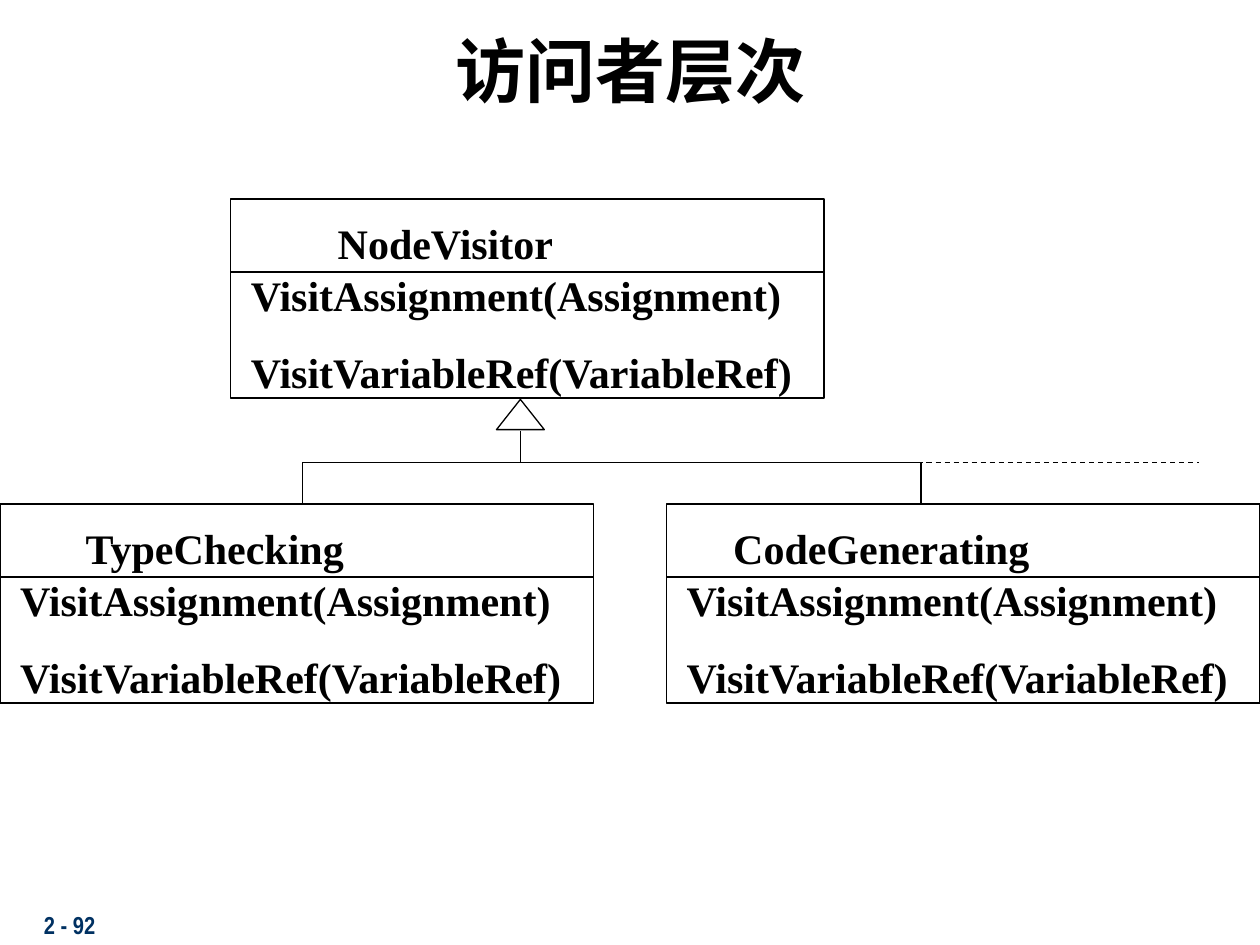
import pptx
import pptx.util
import pptx.dml.color
import pptx.enum.dml
import pptx.enum.shapes
import pptx.enum.text
import pptx.oxml.ns
import lxml.etree

Inches, Pt = pptx.util.Inches, pptx.util.Pt
RGB = pptx.dml.color.RGBColor.from_string
SHAPE = pptx.enum.shapes.MSO_SHAPE
ALIGN = pptx.enum.text.PP_ALIGN
ANCHOR = pptx.enum.text.MSO_ANCHOR
qn = pptx.oxml.ns.qn

COLORS = {"ink": "000000", "paper": "FFFFFF", "page": "003162"}
BOX_WIDTH, BOX_HEIGHT, NAME_HEIGHT = 4.71, 1.58, 0.58
BRANCH_Y, CHILD_Y = 3.67, 4

deck = pptx.Presentation()
deck.slide_width, deck.slide_height = Inches(10), Inches(7.5)
slide = deck.slides.add_slide(deck.slide_layouts[6])


def add_text(lines, left, top, width, height, size, font="Times New Roman",
             color="ink", align=ALIGN.LEFT, anchor=ANCHOR.MIDDLE, inset=(0.1, 0.05)):
    """Add a bold text box, one paragraph per line; inset is (sides, top and bottom)."""
    frame = slide.shapes.add_textbox(
        Inches(left), Inches(top), Inches(width), Inches(height)).text_frame
    frame.word_wrap = True
    frame.vertical_anchor = anchor
    frame.margin_left = frame.margin_right = Inches(inset[0])
    frame.margin_top = frame.margin_bottom = Inches(inset[1])
    frame.text = "\n".join(lines)
    for index, paragraph in enumerate(frame.paragraphs):
        paragraph.alignment = align
        if index:
            paragraph.space_before = Pt(15)
        paragraph.font.size = Pt(size)
        paragraph.font.bold = True
        paragraph.font.color.rgb = RGB(COLORS[color])
        paragraph.font.name = font
        east_asian = lxml.etree.SubElement(paragraph.font._rPr, qn("a:ea"))
        east_asian.set("typeface", font)


def add_line(x1, y1, x2, y2):
    line = slide.shapes.add_connector(
        pptx.enum.shapes.MSO_CONNECTOR.STRAIGHT,
        Inches(x1), Inches(y1), Inches(x2), Inches(y2))
    line.line.color.rgb = RGB(COLORS["ink"])
    line.line.width = Pt(0.75)
    lxml.etree.SubElement(line._element.spPr, qn("a:effectLst"))
    return line


add_text(["2 - 92"], 0.25, 7.17, 2.08, 0.33, 14, "Arial Narrow", "page",
         anchor=ANCHOR.TOP)
add_text(["访问者层次"], 0.17, 0.17, 9.67, 0.75, 40, "Noto Sans CJK SC",
         align=ALIGN.CENTER, anchor=ANCHOR.TOP)

# Inheritance tree
for branch in [(2.4, BRANCH_Y, 7.31, BRANCH_Y), (2.4, BRANCH_Y, 2.4, CHILD_Y),
               (7.31, BRANCH_Y, 7.31, CHILD_Y), (4.13, 3.42, 4.13, BRANCH_Y)]:
    add_line(*branch)
more_visitors = add_line(7.21, BRANCH_Y, 9.52, BRANCH_Y)
more_visitors.line.dash_style = pptx.enum.dml.MSO_LINE.DASH

# Class boxes and the inheritance arrowhead
classes = [("TypeChecking", 0, CHILD_Y), ("CodeGenerating", 5.29, CHILD_Y),
           ("NodeVisitor", 1.83, 1.58)]
outlines = [(SHAPE.ISOSCELES_TRIANGLE, 3.94, 3.17, 0.38, 0.24)]
outlines += [(SHAPE.RECTANGLE, left, top, BOX_WIDTH, BOX_HEIGHT)
             for _, left, top in classes]
for kind, *place in outlines:
    outline = slide.shapes.add_shape(kind, *map(Inches, place))
    outline.shadow.inherit = False
    outline.fill.solid()
    outline.fill.fore_color.rgb = RGB(COLORS["paper"])
    outline.line.color.rgb = RGB(COLORS["ink"])
    outline.line.width = Pt(0.75)

for class_name, left, top in classes:
    divider_y = top + NAME_HEIGHT
    add_text([class_name], left + 0.12, top + 0.1, 3.17, 0.5, 24, align=ALIGN.CENTER)
    add_line(left, divider_y, left + BOX_WIDTH, divider_y)
    add_text(["VisitAssignment(Assignment)", "VisitVariableRef(VariableRef)"],
             left + 0.12, top + 0.54, 4.59, 1.05, 24, inset=(0.04, 0.02))

deck.save("out.pptx")
